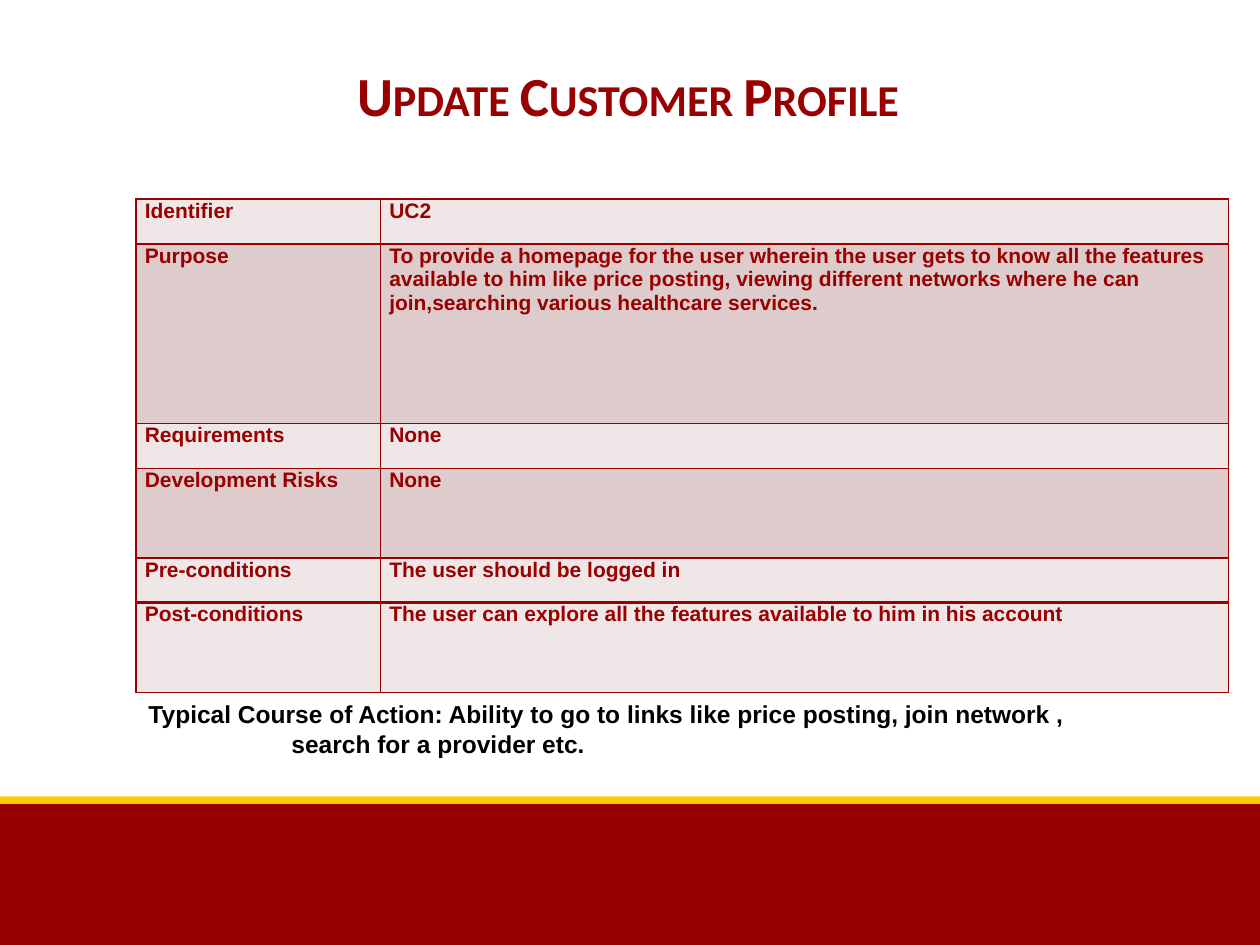
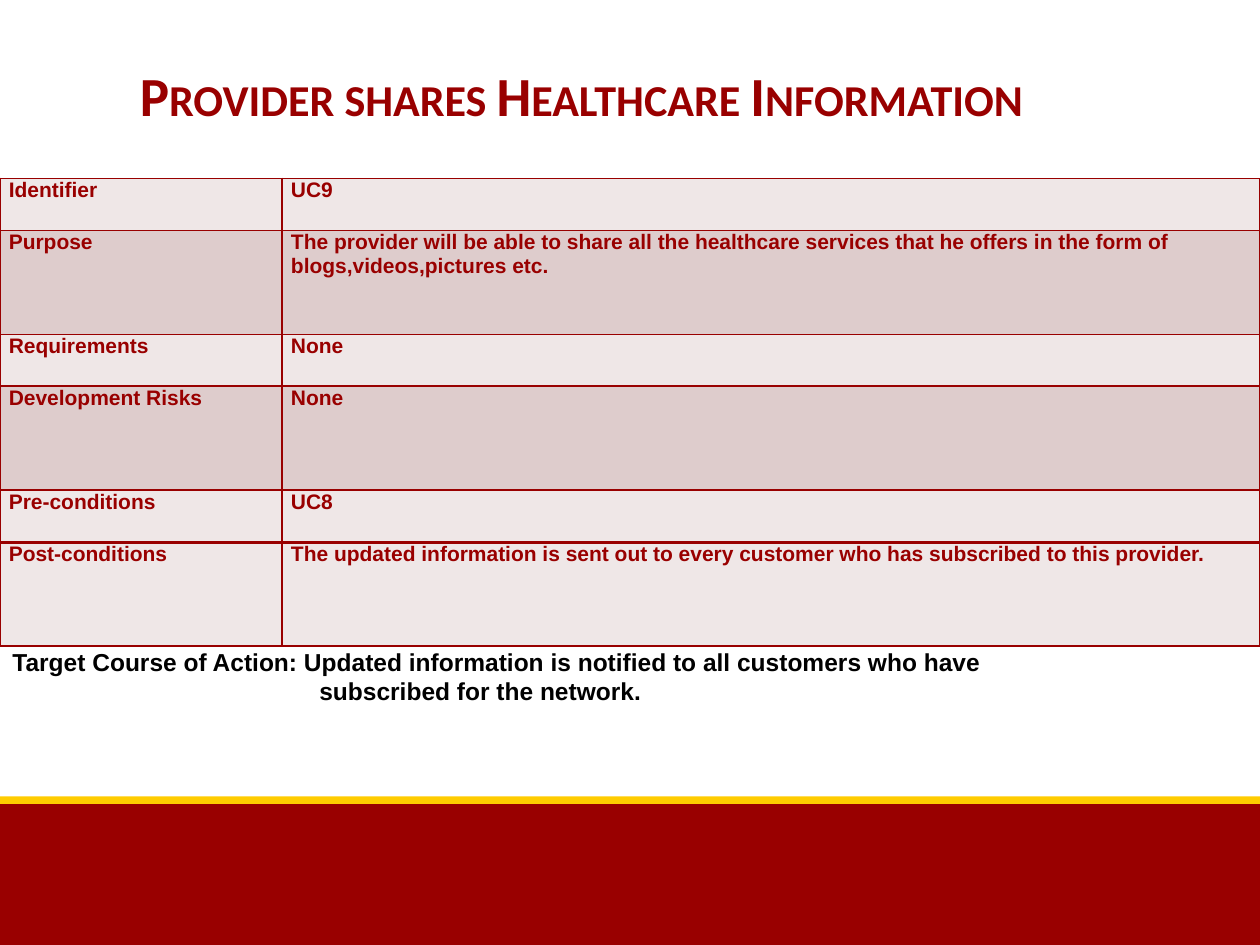
from dataclasses import dataclass

from lxml.etree import SubElement
from pptx import Presentation
from pptx.dml.color import RGBColor
from pptx.enum.shapes import MSO_SHAPE
from pptx.enum.text import MSO_ANCHOR, MSO_AUTO_SIZE, PP_ALIGN
from pptx.oxml.ns import qn
from pptx.util import Pt

LABELS = ["Identifier", "Purpose", "Requirements", "Development Risks",
          "Pre-conditions", "Post-conditions"]

USE_CASES = [
    {
        "title": "Update Customer Profile",
        "title_left": 33.84,
        "values": [
            "UC2",
            "To provide a homepage for the user wherein the user gets to know all the "
            "features available to him like price posting, viewing different networks "
            "where he can join,searching various healthcare services.",
            "None",
            "None",
            "The user should be logged in",
            "The user can explore all the features available to him in his account",
        ],
        "table_at": (77.76, 113.76),
        "columns": (139.68, 484.56),
        "row_unit": 25.65,
        "row_units": (1, 4, 1, 2, 1, 2),
        "note": ["Typical Course of Action: Ability to go to links like price posting, "
                 "join network ,", "search for a provider etc."],
        "note_box": (77.76, 396, 617.76, 72.72),
        "note_indent": 81.7,
    },
    {
        "title": "Provider shares Healthcare Information",
        "title_left": 7.2,
        "values": [
            "UC9",
            "The provider will be able to share all the healthcare services that he "
            "offers in the form of blogs,videos,pictures etc.",
            "None",
            "None",
            "UC8",
            "The updated information is sent out to every customer who has subscribed "
            "to this provider.",
        ],
        "table_at": (0, 102),
        "columns": (161.28, 558.72),
        "row_unit": 29.68,
        "row_units": (1, 2, 1, 2, 1, 2),
        "note": ["Target Course of Action: Updated information is notified to all "
                 "customers who have", "subscribed for the network."],
        "note_box": (0, 366, 720, 51.12),
        "note_indent": 175.4,
    },
]


@dataclass(frozen=True)
class Theme:
    red: str = "990000"
    gold: str = "FFCC00"
    light_row: str = "EFE7E7"
    dark_row: str = "DECCCC"
    black: str = "000000"
    title_font: str = "Calibri"
    text_font: str = "Arial"
    title_size: float = 31.5
    cell_size: float = 12
    note_size: float = 14


THEME = Theme()
SLIDE_WIDTH, SLIDE_HEIGHT = 720, 540
BANDS = [(457.2, 82.8, THEME.red), (455.04, 4.32, THEME.gold)]


def points(*lengths):
    return [Pt(length) for length in lengths]


def style(paragraph, name, size, color):
    font = paragraph.font
    font.name, font.size, font.bold = name, Pt(size), True
    font.color.rgb = RGBColor.from_string(color)


def add_bands(slide):
    """Draw the footer bands and move them to the layout, behind its placeholders."""
    layout_tree = slide.slide_layout.shapes.element
    for index, (top, height, color) in enumerate(BANDS):
        band = slide.shapes.add_shape(
            MSO_SHAPE.RECTANGLE, *points(0, top, SLIDE_WIDTH, height))
        band.shadow.inherit = False
        band.fill.solid()
        band.fill.fore_color.rgb = RGBColor.from_string(color)
        band.line.fill.background()
        layout_tree.insert(2 + index, band.element)


def fill_title(slide, text, left):
    title = slide.shapes.title
    title.left, title.top, title.width, title.height = points(left, 32.4, 650.16, 82.08)
    frame = title.text_frame
    frame.text = text
    frame.auto_size = MSO_AUTO_SIZE.NONE
    frame.vertical_anchor = MSO_ANCHOR.TOP
    frame.margin_top = Pt(2.5)
    paragraph = frame.paragraphs[0]
    paragraph.alignment = PP_ALIGN.CENTER
    style(paragraph, THEME.title_font, THEME.title_size, THEME.red)
    paragraph._p.pPr.find(qn("a:defRPr")).set("cap", "small")


def set_borders(cell, top_width):
    properties = cell._tc.get_or_add_tcPr()
    for side, width in (("L", 1), ("R", 1), ("T", top_width), ("B", 1)):
        line = SubElement(properties, qn(f"a:ln{side}"), w=str(Pt(width)))
        fill = SubElement(line, qn("a:solidFill"))
        SubElement(fill, qn("a:srgbClr"), val=THEME.red)


def add_use_case_table(slide, use_case):
    columns = use_case["columns"]
    heights = [units * use_case["row_unit"] for units in use_case["row_units"]]
    table = slide.shapes.add_table(
        len(LABELS), len(columns),
        *points(*use_case["table_at"], sum(columns), sum(heights))).table
    table.first_row = table.horz_banding = False
    for column, width in zip(table.columns, columns):
        column.width = Pt(width)
    last = len(LABELS) - 1
    for index, texts in enumerate(zip(LABELS, use_case["values"])):
        table.rows[index].height = Pt(heights[index])
        dark = index % 2 == 1 and index != last
        for cell, text in zip(table.rows[index].cells, texts):
            cell.text = text
            cell.margin_left = cell.margin_right = Pt(5.04)
            cell.margin_top = cell.margin_bottom = 0
            set_borders(cell, 2 if index == last else 1)
            cell.fill.solid()
            cell.fill.fore_color.rgb = RGBColor.from_string(
                THEME.dark_row if dark else THEME.light_row)
            style(cell.text_frame.paragraphs[0], THEME.text_font,
                  THEME.cell_size, THEME.red)


def add_note(slide, lines, box, indent):
    """Add the course of action, with its second line on a hanging indent."""
    frame = slide.shapes.add_textbox(*points(*box)).text_frame
    frame.word_wrap = True
    paragraph = frame.paragraphs[0]
    paragraph.text = "\v".join(lines)
    properties = paragraph._p.get_or_add_pPr()
    properties.set("marL", str(Pt(indent)))
    properties.set("indent", str(-Pt(indent)))
    style(paragraph, THEME.text_font, THEME.note_size, THEME.black)


def main():
    presentation = Presentation()
    presentation.slide_width, presentation.slide_height = points(SLIDE_WIDTH, SLIDE_HEIGHT)
    title_only = presentation.slide_layouts.get_by_name("Title Only")
    for index, use_case in enumerate(USE_CASES):
        slide = presentation.slides.add_slide(title_only)
        if index == 0:
            add_bands(slide)
        fill_title(slide, use_case["title"], use_case["title_left"])
        add_use_case_table(slide, use_case)
        add_note(slide, use_case["note"], use_case["note_box"], use_case["note_indent"])
    presentation.save("out.pptx")


if __name__ == "__main__":
    main()
